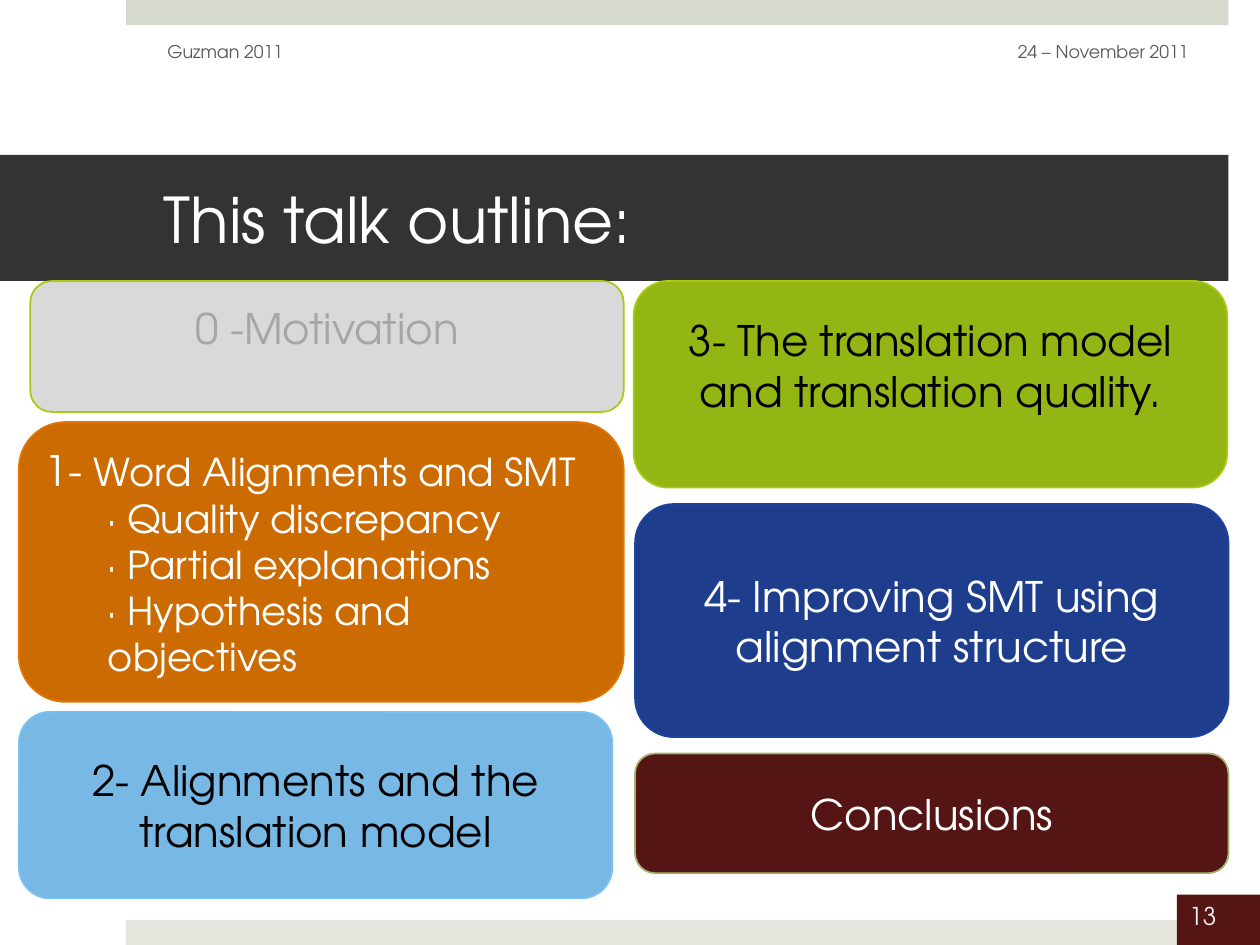
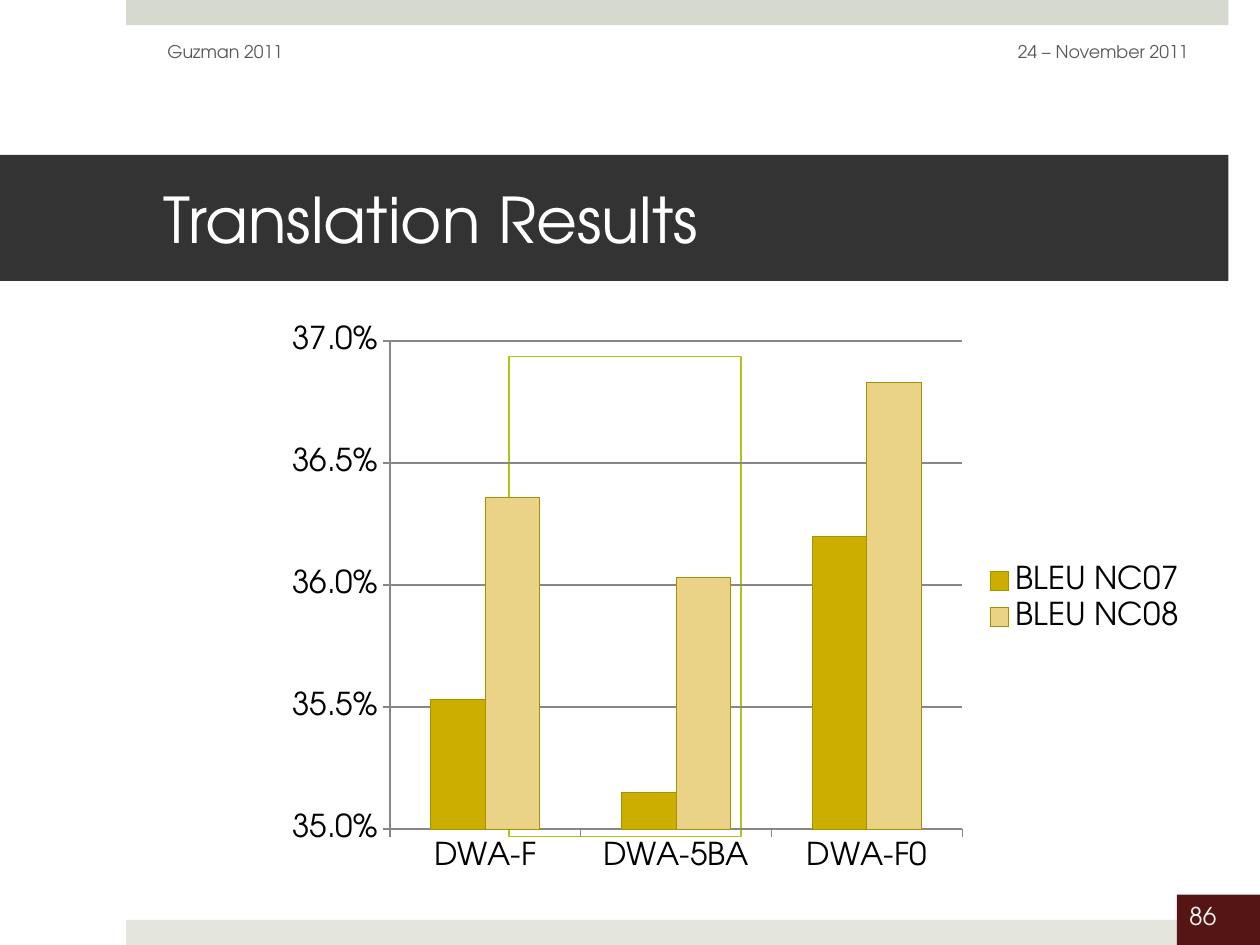
from lxml import etree
from pptx import Presentation
from pptx.chart.data import CategoryChartData
from pptx.dml.color import RGBColor
from pptx.enum.chart import XL_CHART_TYPE, XL_LEGEND_POSITION, XL_TICK_MARK
from pptx.enum.shapes import MSO_SHAPE
from pptx.enum.text import MSO_ANCHOR, MSO_AUTO_SIZE, PP_ALIGN
from pptx.oxml.ns import qn
from pptx.util import Inches, Pt

FONT = "TeX Gyre Adventor"
WHITE = RGBColor(0xFF, 0xFF, 0xFF)
BLACK = RGBColor(0x00, 0x00, 0x00)
TITLE_BAND = RGBColor(0x33, 0x33, 0x33)
TOP_BAND = RGBColor(0xD6, 0xD9, 0xCD)
BOTTOM_BAND = RGBColor(0xE4, 0xE6, 0xDE)
MAROON = RGBColor(0x56, 0x15, 0x15)
NUMBER_TEXT = RGBColor(0xF2, 0xF2, 0xF2)
HEADER_TEXT = RGBColor(0x59, 0x59, 0x59)
LIME = RGBColor(0xA5, 0xCC, 0x12)
GREEN = RGBColor(0x93, 0xB6, 0x14)
SILVER = RGBColor(0xD9, 0xD9, 0xD9)
FADED_TEXT = RGBColor(0xA6, 0xA6, 0xA6)
ORANGE = RGBColor(0xCB, 0x6B, 0x02)
ORANGE_EDGE = RGBColor(0xE2, 0x76, 0x00)
SKY = RGBColor(0x77, 0xB8, 0xE4)
SKY_EDGE = RGBColor(0x7A, 0xC2, 0xF2)
NAVY = RGBColor(0x1E, 0x3E, 0x8D)
NAVY_EDGE = RGBColor(0x1E, 0x43, 0x9E)
OLIVE_EDGE = RGBColor(0xA3, 0xB3, 0x6E)
GOLD = RGBColor(0xCB, 0xAE, 0x00)
SAND = RGBColor(0xEA, 0xD2, 0x86)
BAR_EDGE = RGBColor(0xA6, 0x92, 0x00)
AXIS_GREY = RGBColor(0x87, 0x87, 0x87)

# Text, left, width, top, height, alignment
HEADERS = [
    ("24 – November 2011", 7.2, 2.33, PP_ALIGN.RIGHT),
    ("Guzman 2011", 1.23, 3.17, PP_ALIGN.LEFT),
]

# Each column: top, gap between cards, then the cards as
# text, left, width, height, fill, edge, text colour, extra bottom margin
COLUMNS = [
    (2.23, 0.08, [
        ("0 -Motivation", 0.24, 4.71, 1.04, SILVER, LIME, FADED_TEXT, 0.3),
        (None, 0.15, 4.8, 2.22, ORANGE, ORANGE_EDGE, WHITE, 0),
        ("2- Alignments and the translation model",
         0.15, 4.71, 1.48, SKY, SKY_EDGE, BLACK, 0),
    ]),
    (2.23, 0.13, [
        ("3- The translation model and translation quality.",
         5.03, 4.71, 1.64, GREEN, LIME, BLACK, 0.3),
        ("4- Improving SMT using alignment structure",
         5.04, 4.71, 1.85, NAVY, NAVY_EDGE, WHITE, 0),
        ("Conclusions", 5.04, 4.71, 0.95, MAROON, OLIVE_EDGE, WHITE, 0),
    ]),
]
CURRENT_NUMBER, CURRENT_TOPIC = "1- ", "Word Alignments and SMT"
CURRENT_POINTS = [
    "· Quality discrepancy",
    "· Partial explanations",
    "· Hypothesis and objectives",
]

SYSTEMS = ["DWA-F", "DWA-5BA", "DWA-F0"]
SCORES = [
    ("BLEU NC07", [0.3553, 0.3515, 0.362], GOLD),
    ("BLEU NC08", [0.3636, 0.3603, 0.3683], SAND),
]
PLOT_SHARES = {"x": 0.126, "y": 0.046, "w": 0.618, "h": 0.859}


def style_font(font, size, color):
    font.name = FONT
    font.size = Pt(size)
    font.color.rgb = color


def add_block(page, kind, place, fill=None, edge=None):
    block = page.shapes.add_shape(kind, *map(Inches, place))
    block.shadow.inherit = False
    if fill is None:
        block.fill.background()
    else:
        block.fill.solid()
        block.fill.fore_color.rgb = fill
    if edge is None:
        block.line.fill.background()
    else:
        block.line.color.rgb = edge
        block.line.width = Pt(1)
    return block


def write(frame, text, size, color, align=PP_ALIGN.LEFT, anchor=MSO_ANCHOR.MIDDLE):
    frame.text = text
    frame.word_wrap = True
    frame.vertical_anchor = anchor
    para = frame.paragraphs[0]
    para.alignment = align
    style_font(para.runs[0].font, size, color)


def add_page(deck, title_text, number):
    """Add a page with its title, bands, header texts and page number."""
    page = deck.slides.add_slide(deck.slide_layouts[5])
    add_block(page, MSO_SHAPE.RECTANGLE, (1, 0, 8.75, 0.2), TOP_BAND)
    add_block(page, MSO_SHAPE.RECTANGLE, (1, 7.3, 8.75, 0.2), BOTTOM_BAND)
    badge = add_block(page, MSO_SHAPE.RECTANGLE, (9.34, 7.1, 0.66, 0.4), MAROON)
    write(badge.text_frame, number, 14, NUMBER_TEXT, anchor=MSO_ANCHOR.TOP)

    title = page.shapes.title
    title.left, title.top, title.width, title.height = map(Inches, (0, 1.23, 9.75, 1))
    title.fill.solid()
    title.fill.fore_color.rgb = TITLE_BAND
    frame = title.text_frame
    frame.auto_size = MSO_AUTO_SIZE.NONE
    frame.margin_left, frame.margin_right = Inches(1.3), Inches(0.3)
    write(frame, title_text, 36, WHITE)

    for text, left, width, align in HEADERS:
        box = page.shapes.add_textbox(*map(Inches, (left, 0.21, width, 0.4)))
        write(box.text_frame, text, 10, HEADER_TEXT, align)
    return page


def write_current_topic(frame):
    write(frame, CURRENT_NUMBER, 24, WHITE)
    span = frame.paragraphs[0].add_run()
    span.text = CURRENT_TOPIC
    style_font(span.font, 22, WHITE)
    for point in CURRENT_POINTS:
        para = frame.add_paragraph()
        para.text = point
        para.level = 1
        para.alignment = PP_ALIGN.LEFT
        properties = para._p.get_or_add_pPr()
        properties.set("marL", str(Inches(0.5)))
        properties.set("indent", "0")
        style_font(para.runs[0].font, 22, WHITE)


def add_cards(page):
    for top, gap, cards in COLUMNS:
        for text, left, width, height, fill, edge, color, margin in cards:
            card = add_block(page, MSO_SHAPE.ROUNDED_RECTANGLE,
                             (left, top, width, height), fill, edge)
            frame = card.text_frame
            frame.margin_bottom = Inches(0.05 + margin)
            if text:
                write(frame, text, 24, color, PP_ALIGN.CENTER)
            else:
                write_current_topic(frame)
            top += height + gap


def place_plot(chart):
    """Fix the inner plot area as shares of the chart's size."""
    plot_area = chart._chartSpace.chart.plotArea
    for old in plot_area.findall(qn("c:layout")):
        plot_area.remove(old)
    layout = etree.Element(qn("c:layout"))
    manual = etree.SubElement(layout, qn("c:manualLayout"))
    settings = {"layoutTarget": "inner", "xMode": "edge", "yMode": "edge", **PLOT_SHARES}
    for name, value in settings.items():
        etree.SubElement(manual, qn(f"c:{name}")).set("val", str(value))
    plot_area.insert(0, layout)


def add_scores_chart(page):
    data = CategoryChartData(number_format="0.0%")
    data.categories = SYSTEMS
    for name, values, _ in SCORES:
        data.add_series(name, values)
    chart = page.shapes.add_chart(
        XL_CHART_TYPE.COLUMN_CLUSTERED, *map(Inches, (2.17, 2.5, 7.35, 4.51)), data).chart
    style_font(chart.font, 18, BLACK)
    chart.has_title = False
    chart.has_legend = True
    chart.legend.position = XL_LEGEND_POSITION.RIGHT
    chart.legend.include_in_layout = False

    plot = chart.plots[0]
    plot.gap_width = 150
    plot.overlap = 0
    plot.vary_by_categories = False
    for series, (_, _, color) in zip(plot.series, SCORES):
        series.format.fill.solid()
        series.format.fill.fore_color.rgb = color
        series.format.line.color.rgb = BAR_EDGE

    scale = chart.value_axis
    scale.minimum_scale, scale.maximum_scale, scale.major_unit = 0.35, 0.37, 0.005
    scale.has_major_gridlines = True
    scale.major_gridlines.format.line.color.rgb = AXIS_GREY
    scale.tick_labels.number_format = "0.0%"
    scale.tick_labels.number_format_is_linked = False
    for axis in (scale, chart.category_axis):
        axis.major_tick_mark = XL_TICK_MARK.OUTSIDE
        axis.format.line.color.rgb = AXIS_GREY
    place_plot(chart)


def main():
    deck = Presentation()
    deck.slide_width, deck.slide_height = Inches(10), Inches(7.5)

    add_cards(add_page(deck, "This talk outline:", "13"))

    results = add_page(deck, "Translation Results", "86")
    add_block(results, MSO_SHAPE.RECTANGLE, (4.04, 2.83, 1.84, 3.81), edge=LIME)
    add_scores_chart(results)

    deck.save("out.pptx")


if __name__ == "__main__":
    main()
